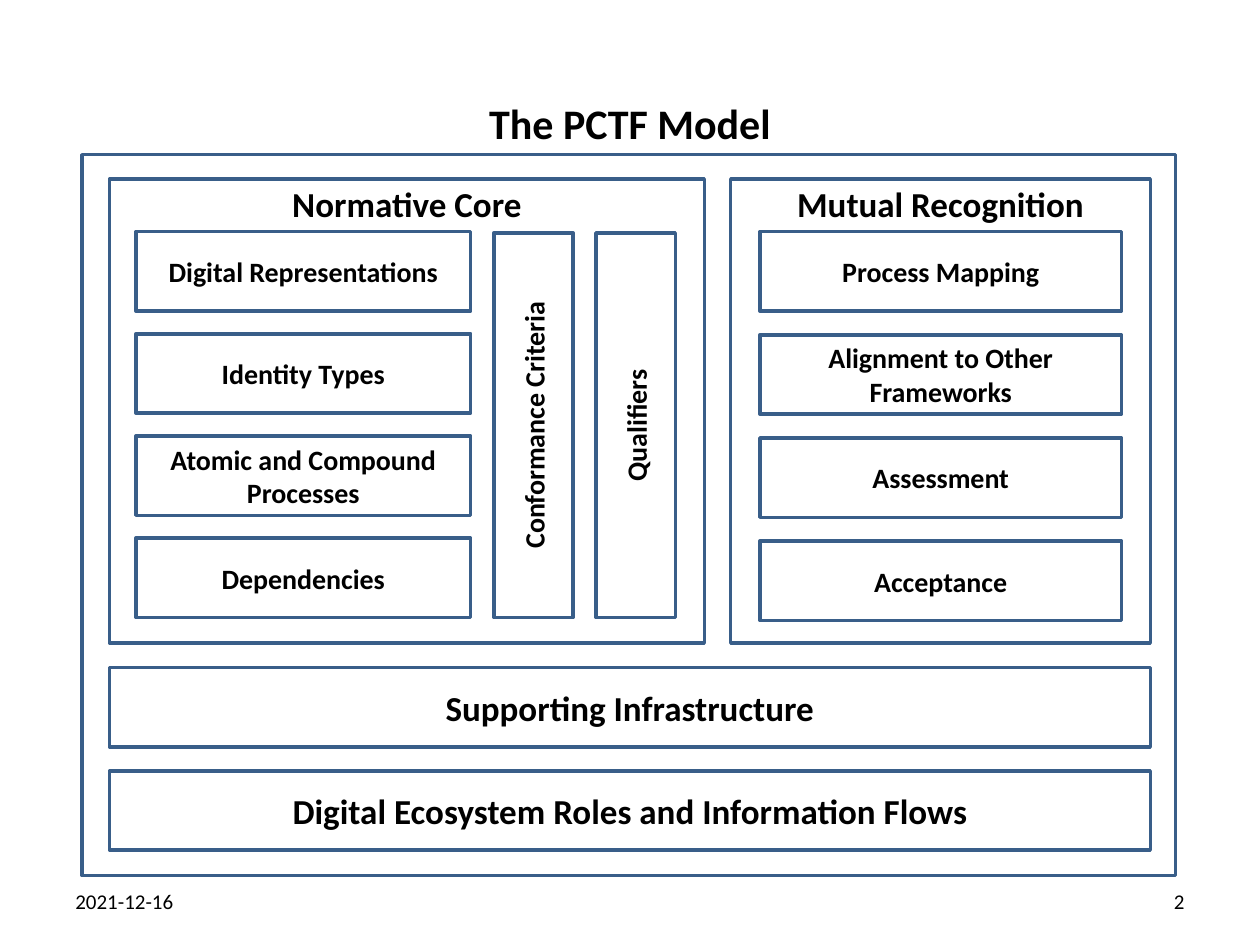
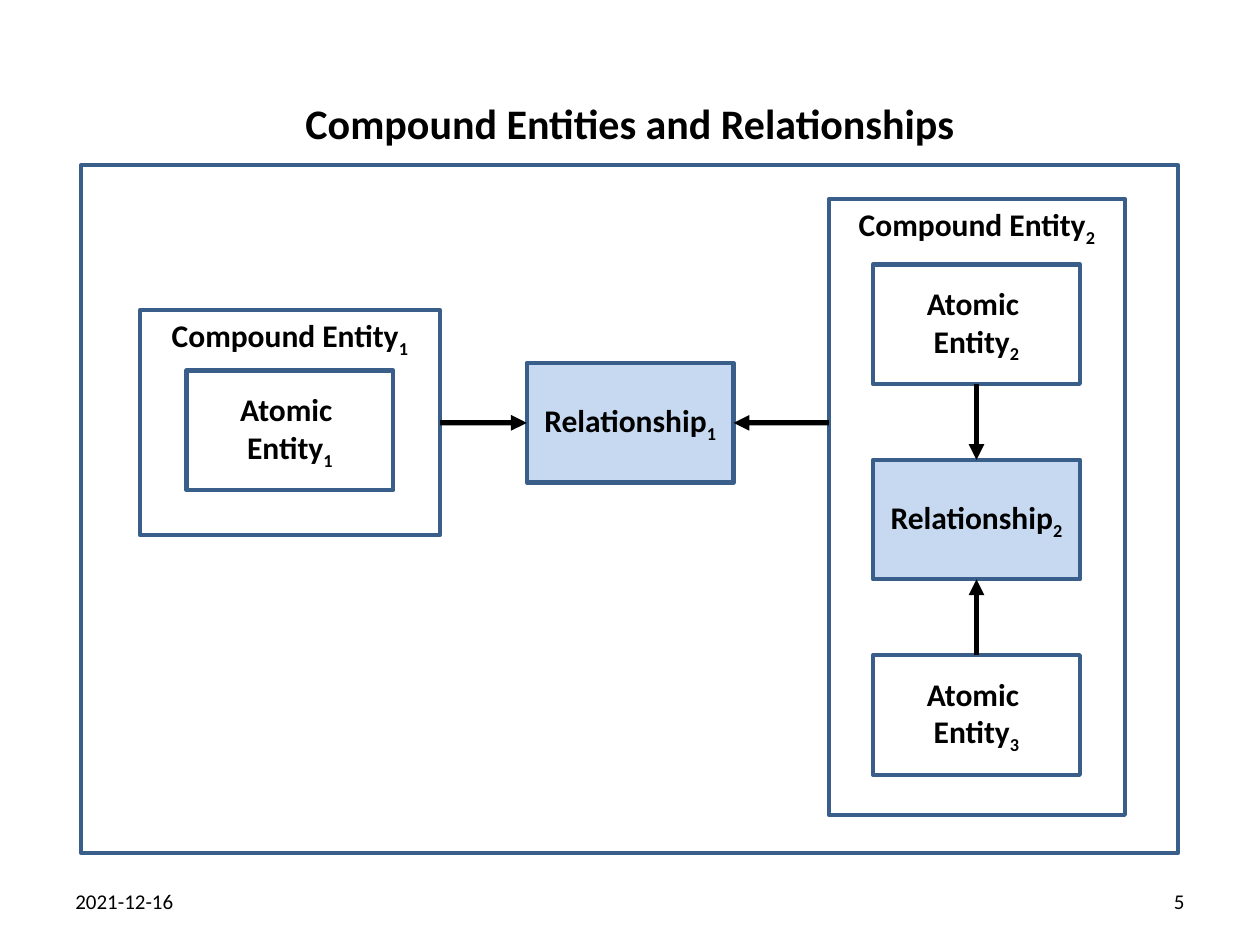
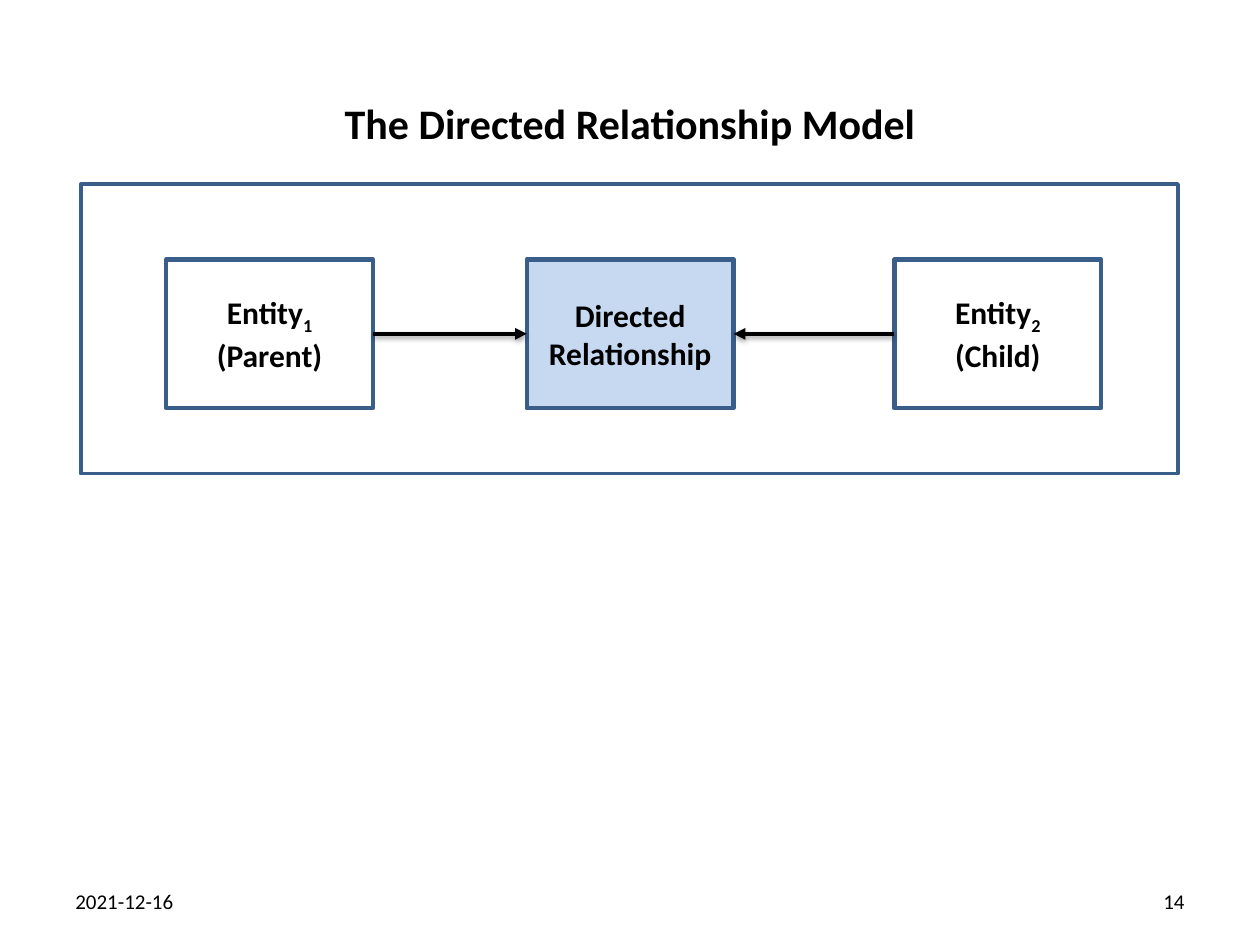
import pptx
import pptx.dml.color
import pptx.enum.shapes
import pptx.enum.text
import pptx.oxml.ns
import pptx.util
from lxml import etree

Cm = pptx.util.Cm
Pt = pptx.util.Pt
ALIGN = pptx.enum.text.PP_ALIGN
ANCHOR = pptx.enum.text.MSO_ANCHOR
FONT = "Calibri"
DATE = "2021-12-16"
COLORS = {"ink": "000000", "edge": "395E89", "pale": "C6D9F1"}
NODE_WIDTH, NODE_HEIGHT = 4.17, 2.41


def color(name):
    return pptx.dml.color.RGBColor.from_string(COLORS[name])


def child(parent, tag, **attrs):
    return etree.SubElement(parent, pptx.oxml.ns.qn(tag), attrs)


def write(frame, text, size, bold=True, align=ALIGN.CENTER, anchor=ANCHOR.MIDDLE):
    frame.word_wrap = True
    frame.vertical_anchor = anchor
    for index, block in enumerate(text.split("\n")):
        para = frame.add_paragraph() if index else frame.paragraphs[0]
        para.alignment = align
        for row, line in enumerate(block.split("\v")):
            if row:
                para.add_line_break()
            base, _, sub = line.partition("_")
            para.add_run().text = base
            if sub:
                run = para.add_run()
                run.text = sub
                run.font._element.set("baseline", "-25000")
        para.font.name = FONT
        para.font.size = Pt(size)
        para.font.bold = bold
        para.font.color.rgb = color("ink")


def add_label(slide, area, text, size, **style):
    box = slide.shapes.add_textbox(*map(Cm, area))
    write(box.text_frame, text, size, **style)
    return box


def add_box(slide, area, text="", size=18, width=2, fill=None, anchor=ANCHOR.MIDDLE):
    kind = pptx.enum.shapes.MSO_SHAPE.RECTANGLE
    box = slide.shapes.add_shape(kind, *map(Cm, area))
    box.shadow.inherit = False
    if fill:
        box.fill.solid()
        box.fill.fore_color.rgb = color(fill)
    else:
        box.fill.background()
    box.line.color.rgb = color("edge")
    box.line.width = Pt(width)
    if text:
        write(box.text_frame, text, size, anchor=anchor)
    return box


def add_node(slide, left, top, text, fill=None, height=NODE_HEIGHT):
    return add_box(slide, (left, top, NODE_WIDTH, height), text, width=2.5, fill=fill)


def add_group(slide, area, text):
    return add_box(slide, area, text, width=2.25, anchor=ANCHOR.TOP)


def add_arrow(slide, goal, goal_side, start=None, side=0, point=(0, 0), width=3, shade=False):
    kind = pptx.enum.shapes.MSO_CONNECTOR.STRAIGHT
    x, y = map(Cm, point)
    arrow = slide.shapes.add_connector(kind, x, y, x, y)
    if start is not None:
        arrow.begin_connect(start, side)
    arrow.end_connect(goal, goal_side)
    arrow.line.color.rgb = color("ink")
    arrow.line.width = Pt(width)
    child(arrow.line._get_or_add_ln(), "a:tailEnd", type="triangle")
    effects = child(arrow._element.spPr, "a:effectLst")
    if shade:
        shadow = child(effects, "a:outerShdw", blurRad="40000", dist="20000",
                       dir="5400000", rotWithShape="0")
        tint = child(shadow, "a:srgbClr", val=COLORS["ink"])
        child(tint, "a:alpha", val="38000")


def add_page(deck, title, number):
    slide = deck.slides.add_slide(deck.slide_layouts[6])
    add_label(slide, (2.31, 1.83, 20.78, 1.27), title, 24)
    add_label(slide, (1.27, 17.65, 5.92, 1.02), DATE, 12, bold=False, align=ALIGN.LEFT)
    add_label(slide, (18.21, 17.65, 5.92, 1.02), str(number), 12, bold=False, align=ALIGN.RIGHT)
    return slide


def add_stack(slide, left, width, step, names):
    for index, name in enumerate(names):
        add_box(slide, (left, 4.67 + index * step, width, 1.6), name, 16)


def build_model(deck):
    slide = add_page(deck, "The PCTF Model", 2)
    add_box(slide, (1.65, 3.12, 22.05, 14.53))
    for left, width, name in ((2.21, 11.99, "Normative Core"),
                              (14.73, 8.46, "Mutual Recognition")):
        add_box(slide, (left, 3.61, width, 9.35))
        label = add_label(slide, (left + width / 2 - 3.2, 3.56, 6.4, 1.12), name, 20,
                          anchor=ANCHOR.TOP)
        label.text_frame.word_wrap = False
    add_stack(slide, 2.74, 6.75, 2.06, (
        "Digital Representations", "Identity Types",
        "Atomic and Compound\nProcesses", "Dependencies"))
    add_stack(slide, 15.32, 7.29, 2.08, (
        "Process Mapping", "Alignment to Other Frameworks", "Assessment", "Acceptance"))
    for index, name in enumerate(("Conformance Criteria", "Qualifiers")):
        pillar = add_box(slide, (6.88 + index * 2.06, 7.77, 7.75, 1.6), name, 16)
        pillar.rotation = 270
    for index, name in enumerate(("Supporting Infrastructure",
                                  "Digital Ecosystem Roles and Information Flows")):
        add_box(slide, (2.21, 13.46 + index * 2.08, 20.98, 1.6), name, 20)


def build_compound(deck):
    slide = add_page(deck, "Compound Entities and Relationships", 5)
    add_box(slide, (1.63, 3.33, 22.12, 13.87))
    first = add_group(slide, (2.82, 6.25, 6.05, 4.54), "Compound Entity_1")
    add_group(slide, (16.71, 4.01, 5.97, 12.42), "Compound Entity_2")
    add_node(slide, 3.76, 7.47, "Atomic \vEntity_1")
    center = add_node(slide, 10.62, 7.32, "Relationship_1", "pale")
    upper, inner, lower = [
        add_node(slide, 17.6, 5.33 + index * 3.94, text, fill)
        for index, (text, fill) in enumerate((
            ("Atomic \vEntity_2", None),
            ("Relationship_2", "pale"),
            ("Atomic \vEntity_3", None)))]
    add_arrow(slide, center, 1, first, 3)
    add_arrow(slide, center, 3, point=(16.71, 8.52))
    add_arrow(slide, inner, 0, upper, 2)
    add_arrow(slide, inner, 2, lower, 0)


def build_directed(deck):
    slide = add_page(deck, "The Directed Relationship Model", 14)
    add_box(slide, (1.63, 3.71, 22.12, 5.84))
    parent, center, heir = [
        add_node(slide, left, 5.23, text, fill, 3)
        for left, text, fill in (
            (3.35, "Entity_1\v(Parent)", None),
            (10.62, "Directed Relationship", "pale"),
            (18.03, "Entity_2\v(Child)", None))]
    add_arrow(slide, center, 1, parent, 3, width=2.25, shade=True)
    add_arrow(slide, center, 3, heir, 1, width=2.25, shade=True)


def main():
    deck = pptx.Presentation()
    deck.slide_width = Cm(25.4)
    deck.slide_height = Cm(19.05)
    build_model(deck)
    build_compound(deck)
    build_directed(deck)
    deck.save("out.pptx")


if __name__ == "__main__":
    main()
